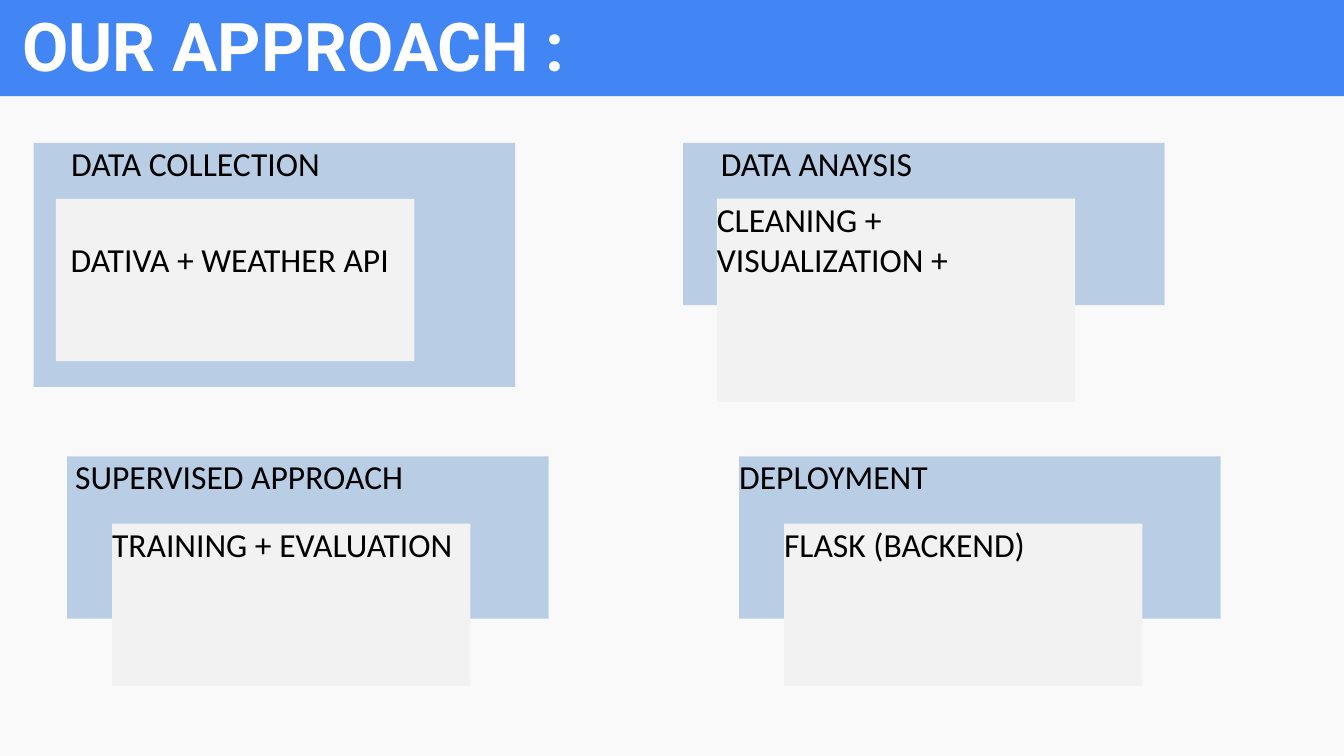
from pptx import Presentation
from pptx.dml.color import RGBColor
from pptx.enum.shapes import MSO_SHAPE
from pptx.enum.text import MSO_ANCHOR, PP_ALIGN
from pptx.util import Inches, Pt

RECTANGLE = MSO_SHAPE.RECTANGLE
TOP = MSO_ANCHOR.TOP
LEFT = PP_ALIGN.LEFT
COLUMNS, ROWS = 120, 67.5  # square cells of 1/12 inch

BLUE, PALE_BLUE, GREY, PAPER = "4285F4", "B9CDE5", "F2F2F2", "F9F9F9"
BLACK, WHITE = "000000", "FFFFFF"


def color(hex_string):
    return RGBColor.from_string(hex_string)


class Page:
    """The current slide, its grid and its text styles."""

    title_font, title_size = "Roboto", 36
    body_font, body_size = "Calibri", 18

    def __init__(self, deck):
        self.cell_width = deck.slide_width / COLUMNS
        self.cell_height = deck.slide_height / ROWS
        self.slide = deck.slides.add_slide(deck.slide_layouts[6])
        fill = self.slide.background.fill
        fill.solid()
        fill.fore_color.rgb = color(PAPER)

    def place(self, column, row, width, height):
        """Turn grid cells into left, top, width and height."""
        return (round(column * self.cell_width), round(row * self.cell_height),
                round(width * self.cell_width), round(height * self.cell_height))

    def rectangle(self, area, fill):
        box = self.slide.shapes.add_shape(RECTANGLE, *self.place(*area))
        box.shadow.inherit = False
        box.fill.solid()
        box.fill.fore_color.rgb = color(fill)
        box.line.fill.background()
        return box

    def set_text(self, box, text, font, size, ink, bold=False, indent=0, drop=0):
        """Fill a box with top-left text, moved in and down by inches."""
        frame = box.text_frame
        frame.word_wrap = True
        frame.vertical_anchor = TOP
        frame.margin_left, frame.margin_top = Inches(indent), Inches(drop)
        frame.margin_right = frame.margin_bottom = 0
        para = frame.paragraphs[0]
        para.text = text
        para.alignment = LEFT
        para.font.name, para.font.size = font, Pt(size)
        para.font.bold = bold
        para.font.color.rgb = color(ink)

    def title(self, text, area):
        box = self.slide.shapes.add_textbox(*self.place(*area))
        self.set_text(box, text, self.title_font, self.title_size, WHITE,
                      bold=True, drop=0.03)

    def panel(self, text, area, fill, indent=0, drop=0):
        box = self.rectangle(area, fill)
        self.set_text(box, text, self.body_font, self.body_size, BLACK,
                      indent=indent, drop=drop)


def main():
    deck = Presentation()
    deck.slide_width, deck.slide_height = Inches(10), Inches(5.625)
    page = Page(deck)
    page.rectangle((0, 0, COLUMNS, 8.6), BLUE)
    page.title("OUR APPROACH :", (2, 0, 106, 7.3))

    outer_width, inner_width, height = 43, 32, 14.5
    upper, upper_inner, lower, lower_inner = 12.75, 17.75, 40.75, 46.75

    # text, column, row, height, indent
    stages = [
        ("DATA COLLECTION", 3, upper, 21.8, 0.28),
        ("DATA ANAYSIS", 61, upper, height, 0.28),
        ("SUPERVISED APPROACH", 6, lower, height, 0.06),
        ("DEPLOYMENT", 66, lower, height, 0),
    ]
    # text, column, row, height, indent, drop
    details = [
        ("DATIVA + WEATHER API", 5, upper_inner, height, 0.11, 0.3),
        ("CLEANING + VISUALIZATION +", 64, upper_inner, 18.15, 0, 0),
        ("TRAINING + EVALUATION", 10, lower_inner, height, 0, 0),
        ("FLASK (BACKEND)", 70, lower_inner, height, 0, 0),
    ]
    for text, column, row, tall, indent in stages:
        page.panel(text, (column, row, outer_width, tall), PALE_BLUE, indent)
    for text, column, row, tall, indent, drop in details:
        page.panel(text, (column, row, inner_width, tall), GREY, indent, drop)

    deck.save("out.pptx")


if __name__ == "__main__":
    main()
